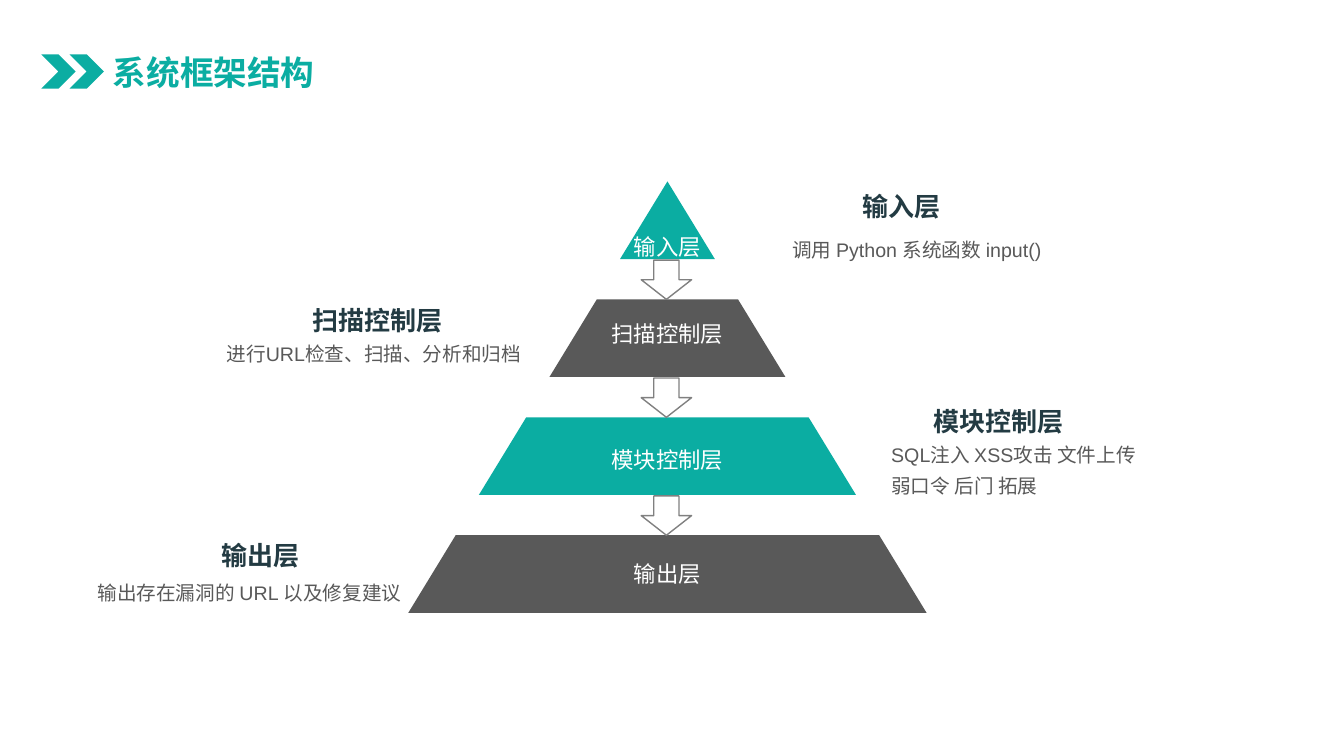
from dataclasses import dataclass

from lxml import etree
from pptx import Presentation
from pptx.dml.color import RGBColor
from pptx.enum.shapes import MSO_SHAPE
from pptx.enum.text import MSO_ANCHOR, MSO_AUTO_SIZE, PP_ALIGN
from pptx.oxml.ns import qn
from pptx.util import Inches, Pt

LEFT, CENTER, RIGHT = PP_ALIGN.LEFT, PP_ALIGN.CENTER, PP_ALIGN.RIGHT
CHEVRON, DOWN_ARROW = MSO_SHAPE.CHEVRON, MSO_SHAPE.DOWN_ARROW
TOP, MIDDLE = MSO_ANCHOR.TOP, MSO_ANCHOR.MIDDLE
NO_AUTOFIT = MSO_AUTO_SIZE.NONE

TEAL = RGBColor(0x0B, 0xAD, 0xA2)
GRAY = RGBColor(0x59, 0x59, 0x59)
NAVY = RGBColor(0x23, 0x3B, 0x43)
OUTLINE = RGBColor(0x80, 0x80, 0x80)
WHITE = RGBColor(0xFF, 0xFF, 0xFF)
FONT = "Arial"

AXIS = 6.62
PYRAMID_TOP, LAYER_STEP, LAYER_HEIGHT = 1.8, 1.17, 0.77
TIP_HALF_WIDTH, HALF_WIDTH_STEP = 0.47, 0.7
ARROW_WIDTH, ARROW_HEIGHT = 0.5, 0.39


@dataclass(frozen=True)
class Area:
    left: float
    top: float
    width: float
    height: float

    def emu(self) -> tuple:
        return tuple(Inches(n) for n in (self.left, self.top, self.width, self.height))


@dataclass(frozen=True)
class TextStyle:
    size: float
    color: RGBColor
    bold: bool = False
    line_spacing: float = 1.0
    space_before: float = 0


@dataclass(frozen=True)
class Layer:
    name: str
    color: RGBColor
    label_top: float
    heading: Area
    detail: Area
    detail_lines: tuple[str, ...]
    align: PP_ALIGN


TITLE = TextStyle(24, TEAL, bold=True)
LABEL = TextStyle(16, WHITE)
HEADING = TextStyle(18.6, NAVY, bold=True)
DETAIL = TextStyle(14, GRAY, line_spacing=1.3, space_before=8)

LAYERS = (
    Layer("输入层", TEAL, 2.26, Area(8.46, 1.84, 4.25, 0.42),
          Area(7.76, 2.24, 3.36, 0.38), ("调用 Python 系统函数 input()",), LEFT),
    Layer("扫描控制层", GRAY, 3.13, Area(1.64, 2.97, 2.85, 0.42),
          Area(2.12, 3.27, 3.15, 0.79), ("进行URL检查、扫描、分析和归档",), RIGHT),
    Layer("模块控制层", TEAL, 4.38, Area(9.16, 3.97, 4.15, 0.42),
          Area(8.74, 4.28, 3.25, 1.1),
          ("SQL注入 XSS攻击 文件上传", "弱口令 后门 拓展"), LEFT),
    Layer("输出层", GRAY, 5.51, Area(0.22, 5.3, 2.85, 0.42),
          Area(0.69, 5.64, 3.39, 0.82), ("输出存在漏洞的 URL 以及修复建议",), RIGHT),
)


def write_text(box, lines: tuple[str, ...], style: TextStyle, align: PP_ALIGN,
               wrap: bool = True, anchor: MSO_ANCHOR = TOP) -> None:
    frame = box.text_frame
    frame.word_wrap = wrap
    frame.auto_size = NO_AUTOFIT
    frame.vertical_anchor = anchor
    para = frame.paragraphs[0]
    para.alignment = align
    para.line_spacing = style.line_spacing
    para.space_before = Pt(style.space_before)
    for index, line in enumerate(lines):
        if index:
            para.add_line_break()
        span = para.add_run()
        span.text = line
        span.font.name = FONT
        span.font.size = Pt(style.size)
        span.font.bold = style.bold
        span.font.color.rgb = style.color


def add_text(page, area: Area, lines: tuple[str, ...], style: TextStyle,
             align: PP_ALIGN, wrap: bool = True) -> None:
    write_text(page.shapes.add_textbox(*area.emu()), lines, style, align, wrap)


def add_title(page, area: Area, text: str) -> None:
    title = page.shapes.title
    title.left, title.top, title.width, title.height = area.emu()
    frame = title.text_frame
    frame.margin_left = frame.margin_right = Inches(0.08)
    frame.margin_top = frame.margin_bottom = Inches(0.04)
    write_text(title, (text,), TITLE, CENTER, wrap=False, anchor=MIDDLE)


def add_chevron(page, left: float) -> None:
    chevron = page.shapes.add_shape(CHEVRON, *Area(left, 0.54, 0.34, 0.34).emu())
    chevron.shadow.inherit = False
    chevron.fill.solid()
    chevron.fill.fore_color.rgb = TEAL
    chevron.line.fill.background()


def add_band(page, index: int, color: RGBColor) -> None:
    """Draw one slice of the pyramid; the first slice is its tip."""
    top = PYRAMID_TOP + index * LAYER_STEP
    bottom = top + LAYER_HEIGHT
    lower = TIP_HALF_WIDTH + index * HALF_WIDTH_STEP
    upper = lower - TIP_HALF_WIDTH
    corners = [(AXIS - lower, bottom), (AXIS + lower, bottom), (AXIS + upper, top)]
    if index:
        corners.append((AXIS - upper, top))
    points = [(Inches(x), Inches(y)) for x, y in corners]
    builder = page.shapes.build_freeform(*points[0])
    builder.add_line_segments(points[1:], close=True)
    band = builder.convert_to_shape()
    band.shadow.inherit = False
    band.fill.solid()
    band.fill.fore_color.rgb = color
    band.line.fill.background()


def add_arrow_below(page, index: int) -> None:
    top = PYRAMID_TOP + index * LAYER_STEP + LAYER_HEIGHT + 0.01
    area = Area(AXIS - ARROW_WIDTH / 2 - 0.01, top, ARROW_WIDTH, ARROW_HEIGHT)
    arrow = page.shapes.add_shape(DOWN_ARROW, *area.emu())
    arrow.shadow.inherit = False
    arrow.fill.background()
    arrow.line.color.rgb = OUTLINE
    arrow.line.width = Pt(1)


def add_layer(page, index: int, layer: Layer) -> None:
    add_band(page, index, layer.color)
    label_width = 0.22 * (len(layer.name) + 1)
    label = Area(AXIS - label_width / 2, layer.label_top, label_width, 0.37)
    add_text(page, label, (layer.name,), LABEL, CENTER, wrap=False)
    add_text(page, layer.heading, (layer.name,), HEADING, layer.align)
    add_text(page, layer.detail, layer.detail_lines, DETAIL, layer.align)


def main() -> None:
    deck = Presentation()
    deck.slide_width, deck.slide_height = Inches(13.33), Inches(7.5)
    page = deck.slides.add_slide(deck.slide_layouts[5])
    add_title(page, Area(1.03, 0.48, 2.18, 0.48), "系统框架结构")
    for left in (0.41, 0.69):
        add_chevron(page, left)
    for index, layer in enumerate(LAYERS):
        add_layer(page, index, layer)
    for index in range(len(LAYERS) - 1):
        add_arrow_below(page, index)
    deck.save("out.pptx")


if __name__ == "__main__":
    main()
